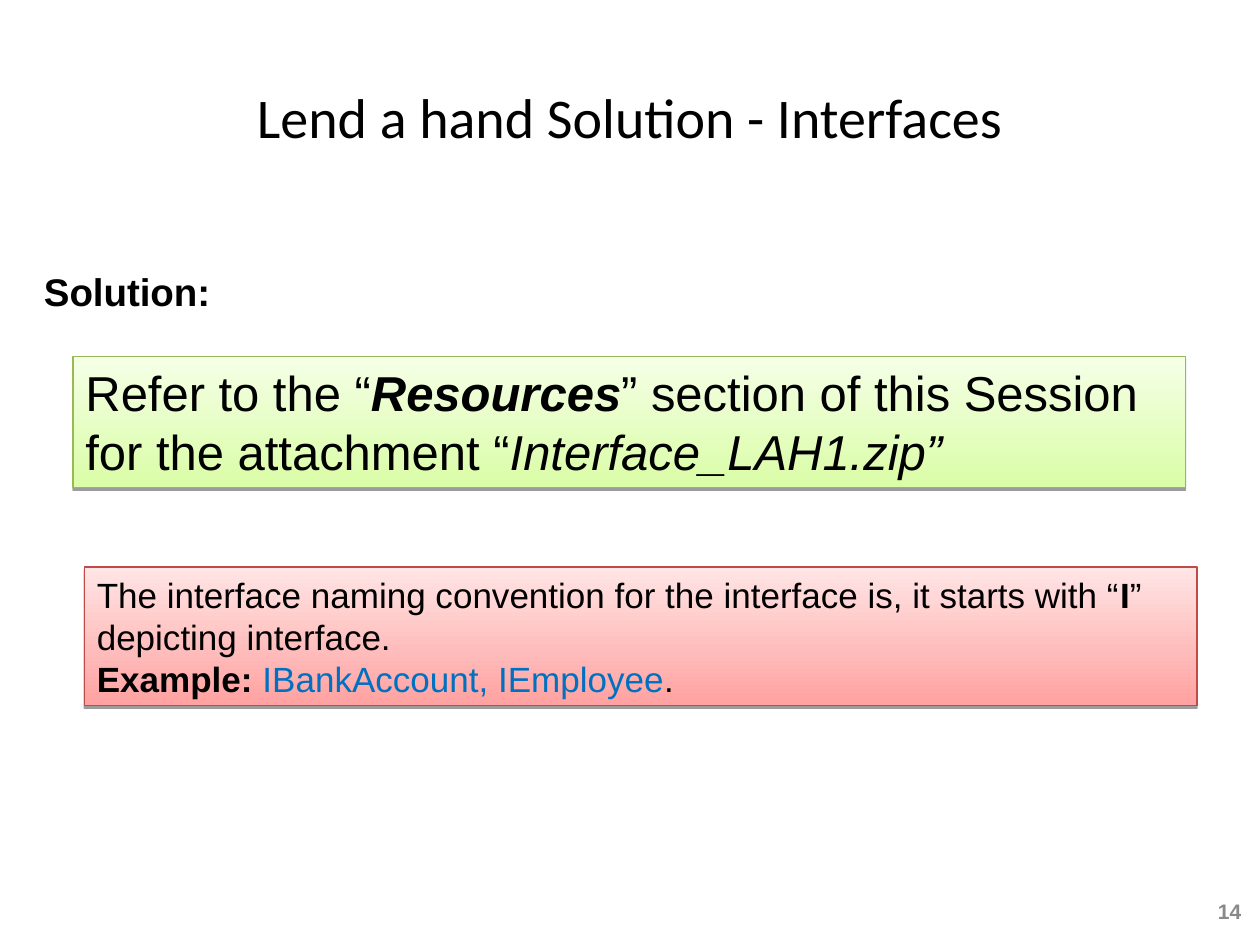
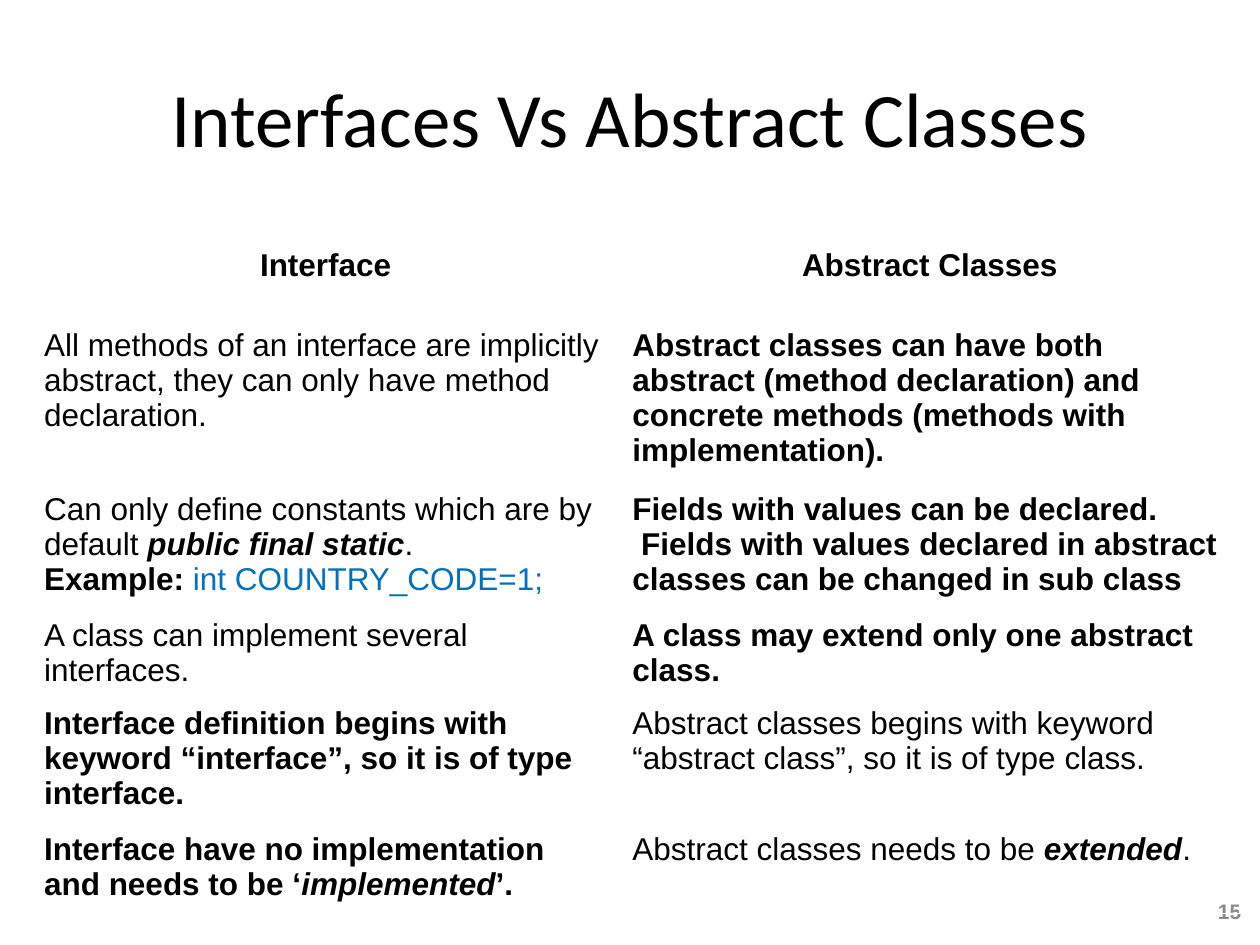
import pptx
import pptx.dml.color
import pptx.enum.shapes
import pptx.enum.text
import pptx.oxml
import pptx.oxml.ns
import pptx.util

Inches = pptx.util.Inches
Pt = pptx.util.Pt
RGBColor = pptx.dml.color.RGBColor
PP_ALIGN = pptx.enum.text.PP_ALIGN
MSO_ANCHOR = pptx.enum.text.MSO_ANCHOR

BLACK = RGBColor(0x00, 0x00, 0x00)
GRAY = RGBColor(0x89, 0x89, 0x89)
BLUE = RGBColor(0x00, 0x70, 0xC0)
GREEN_LINE = RGBColor(0x98, 0xB9, 0x54)
GREEN_DEEP = RGBColor(0xDA, 0xFD, 0xA7)
GREEN_PALE = RGBColor(0xF5, 0xFF, 0xE6)
RED_LINE = RGBColor(0xBE, 0x4B, 0x48)
RED_DEEP = RGBColor(0xFF, 0xA2, 0xA1)
RED_PALE = RGBColor(0xFF, 0xE5, 0xE5)

TITLE_FONT = "Calibri"
BODY_FONT = "Arial"
TITLE_ONLY_LAYOUT = 5

SHADOW_XML = (
    f'<a:outerShdw {pptx.oxml.ns.nsdecls("a")} blurRad="0" dist="20320" '
    'dir="5400000" rotWithShape="0"><a:srgbClr val="000000">'
    '<a:alpha val="38000"/></a:srgbClr></a:outerShdw>'
)

COLUMN_WIDTHS = [4.67, 4.92]
ROW_HEIGHTS = [0.63, 1.3, 1, 0.7, 1, 0.7]

# Each cell is a list of paragraphs, each paragraph a list of (text, style) runs.
COMPARISON = [
    [
        [[("Interface", "bold")]],
        [[("Abstract Classes", "bold")]],
    ],
    [
        [[("All methods of an interface are implicitly abstract, "
           "they can only have method declaration.", "")]],
        [[("Abstract classes can have both abstract (method declaration) and "
           "concrete methods (methods with implementation).", "bold")]],
    ],
    [
        [
            [("Can only define constants which are by default ", ""),
             ("public final static", "bold italic"), (".", "")],
            [("Example: ", "bold"), ("int COUNTRY_CODE=1;", "blue")],
        ],
        [
            [("Fields with values can be declared.", "bold")],
            [(" Fields with values declared in abstract classes "
              "can be changed in sub class", "bold")],
        ],
    ],
    [
        [[("A class can implement several interfaces.", "")]],
        [[("A class may extend only one abstract class.", "bold")]],
    ],
    [
        [[("Interface definition begins with keyword “interface”, "
           "so it is of type interface.", "bold")]],
        [[("Abstract classes begins with keyword “abstract class”, "
           "so it is of type class.", "")]],
    ],
    [
        [[("Interface have no implementation and needs to be ‘", "bold"),
          ("implemented", "bold italic"), ("’.", "bold")]],
        [[("Abstract classes needs to be ", ""),
          ("extended", "bold italic"), (".", "")]],
    ],
]

RESOURCES_NOTE = [
    [("Refer to the “", ""), ("Resources", "bold italic"),
     ("” section of this Session for the attachment “", ""),
     ("Interface_LAH1.zip”", "italic")],
]

NAMING_NOTE = [
    [("The interface naming convention for the interface is, it starts with “", ""),
     ("I", "bold"), ("” depicting interface.", "")],
    [("Example: ", "bold"), ("IBankAccount, IEmployee", "blue"), (".", "")],
]


def format_paragraph(paragraph, size, color=BLACK, name=BODY_FONT, align=PP_ALIGN.LEFT):
    paragraph.alignment = align
    paragraph.font.name = name
    paragraph.font.size = Pt(size)
    paragraph.font.color.rgb = color


def write_paragraphs(text_frame, paragraphs, size, color=BLACK, align=PP_ALIGN.LEFT):
    text_frame.word_wrap = True
    for index, runs in enumerate(paragraphs):
        paragraph = text_frame.add_paragraph() if index else text_frame.paragraphs[0]
        format_paragraph(paragraph, size, color, align=align)
        styles = [set(style.split()) for _, style in runs]
        shared = set.intersection(*styles)
        if "bold" in shared:
            paragraph.font.bold = True
        for (text, _), style in zip(runs, styles):
            run = paragraph.add_run()
            run.text = text
            if "bold" in style - shared:
                run.font.bold = True
            if "italic" in style:
                run.font.italic = True
            if "blue" in style:
                run.font.color.rgb = BLUE


def add_text(slide, left, top, width, height, text, size, color=BLACK,
             align=PP_ALIGN.LEFT, anchor=MSO_ANCHOR.TOP):
    box = slide.shapes.add_textbox(Inches(left), Inches(top), Inches(width), Inches(height))
    box.text_frame.vertical_anchor = anchor
    write_paragraphs(box.text_frame, [[(text, "bold")]], size, color, align)
    return box


def add_titled_slide(presentation, title_text, title_size, number):
    slide = presentation.slides.add_slide(presentation.slide_layouts[TITLE_ONLY_LAYOUT])
    title = slide.shapes.title
    title.left, title.top = Inches(0.5), Inches(0.3)
    title.width, title.height = Inches(9), Inches(1.25)
    title.text_frame.text = title_text
    title.text_frame.vertical_anchor = MSO_ANCHOR.MIDDLE
    format_paragraph(title.text_frame.paragraphs[0], title_size,
                     name=TITLE_FONT, align=PP_ALIGN.CENTER)
    add_text(slide, 9.46, 7.06, 0.49, 0.35, str(number), 12, GRAY,
             PP_ALIGN.RIGHT, MSO_ANCHOR.MIDDLE)
    return slide


def add_note(slide, left, top, height, paragraphs, size, line_color, deep, pale):
    note = slide.shapes.add_shape(
        pptx.enum.shapes.MSO_SHAPE.RECTANGLE,
        Inches(left), Inches(top), Inches(8.83), Inches(height))
    note.fill.gradient()
    note.fill.gradient_angle = 90
    for stop, color in zip(note.fill.gradient_stops, (deep, pale)):
        stop.color.rgb = color
    note.line.color.rgb = line_color
    note.line.width = Pt(0.75)
    note.shadow.inherit = False
    effects = note.element.spPr.find(pptx.oxml.ns.qn("a:effectLst"))
    effects.append(pptx.oxml.parse_xml(SHADOW_XML))
    note.text_frame.vertical_anchor = MSO_ANCHOR.TOP
    write_paragraphs(note.text_frame, paragraphs, size)


def add_comparison_table(slide, left, top):
    table = slide.shapes.add_table(
        len(ROW_HEIGHTS), len(COLUMN_WIDTHS), Inches(left), Inches(top),
        Inches(sum(COLUMN_WIDTHS)), Inches(sum(ROW_HEIGHTS))).table
    table.first_row = False
    table.horz_banding = False
    for column, width in zip(table.columns, COLUMN_WIDTHS):
        column.width = Inches(width)
    for row_index, (row, height) in enumerate(zip(table.rows, ROW_HEIGHTS)):
        row.height = Inches(height)
        align = PP_ALIGN.LEFT if row_index else PP_ALIGN.CENTER
        for cell, paragraphs in zip(row.cells, COMPARISON[row_index]):
            cell.fill.background()
            write_paragraphs(cell.text_frame, paragraphs, 18, align=align)


def main():
    presentation = pptx.Presentation()
    presentation.slide_width = Inches(10)
    presentation.slide_height = Inches(7.5)

    solution = add_titled_slide(presentation, "Lend a hand Solution - Interfaces", 32, 14)
    heading = add_text(solution, 0.25, 2.08, 9.42, 0.5, "Solution:", 22)
    heading.text_frame.paragraphs[0].space_before = Pt(6)
    add_note(solution, 0.67, 4.5, 1.1, NAMING_NOTE, 20, RED_LINE, RED_DEEP, RED_PALE)
    add_note(solution, 0.58, 2.83, 1.04, RESOURCES_NOTE, 28,
             GREEN_LINE, GREEN_DEEP, GREEN_PALE)

    comparison = add_titled_slide(presentation, "Interfaces Vs Abstract Classes", 44, 15)
    add_comparison_table(comparison, 0.25, 1.92)

    presentation.save("out.pptx")


if __name__ == "__main__":
    main()
